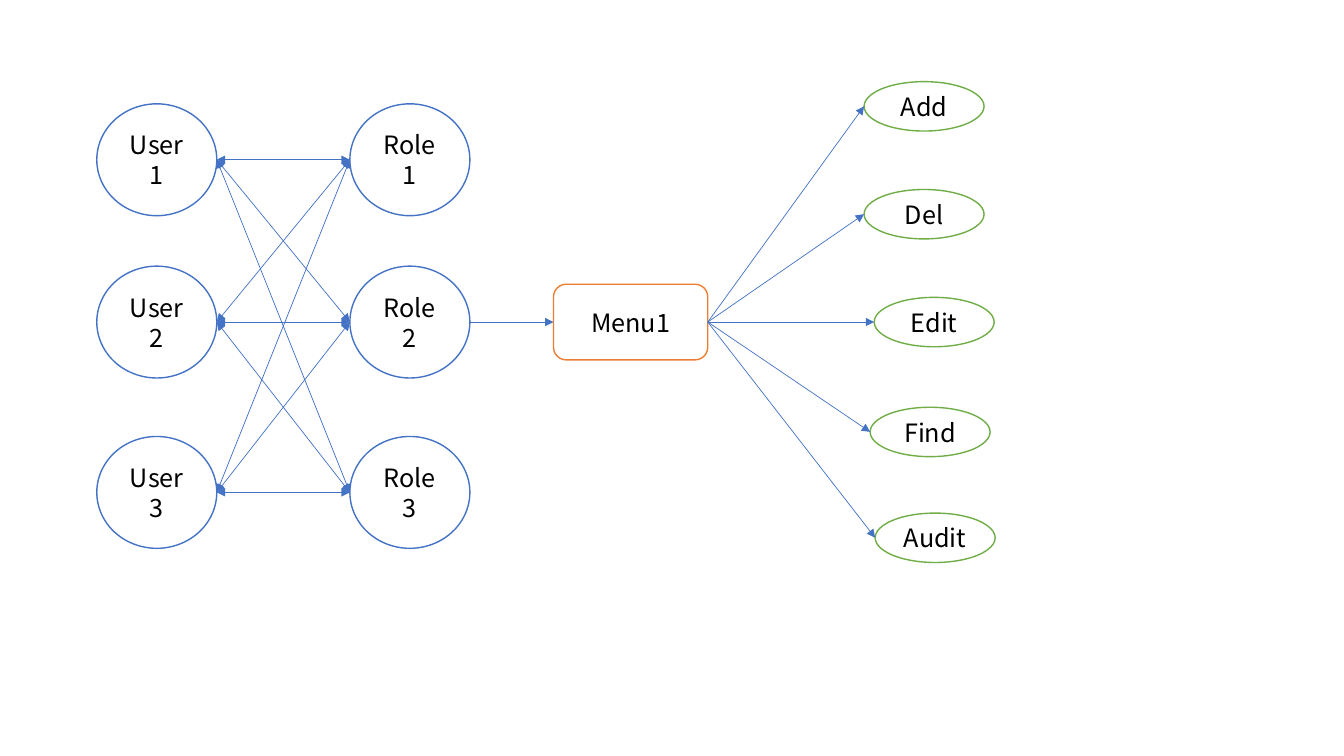
from lxml import etree
from pptx import Presentation
from pptx.dml.color import RGBColor
from pptx.enum.shapes import MSO_CONNECTOR, MSO_SHAPE
from pptx.enum.text import MSO_ANCHOR, PP_ALIGN
from pptx.oxml.ns import qn
from pptx.util import Inches, Pt

OVAL = MSO_SHAPE.OVAL
ROUNDED = MSO_SHAPE.ROUNDED_RECTANGLE
STRAIGHT = MSO_CONNECTOR.STRAIGHT
MIDDLE = MSO_ANCHOR.MIDDLE
CENTER = PP_ALIGN.CENTER

WHITE = RGBColor(0xFF, 0xFF, 0xFF)
BLACK = RGBColor(0x00, 0x00, 0x00)
BLUE = RGBColor(0x44, 0x72, 0xC4)
ORANGE = RGBColor(0xED, 0x7D, 0x31)
GREEN = RGBColor(0x70, 0xAD, 0x47)

LABEL_FONT = {"name": "Noto Sans CJK SC", "size": Pt(18)}
ROW_TOPS = (0, 1.61, 3.3)
NODE_WIDTH, NODE_HEIGHT = 1.19, 1.11
ACTION_HEIGHT = 0.49
ACTIONS = (
    ("Add", 0, 0),
    ("Del", 0, 1.07),
    ("Edit", 0.1, 2.14),
    ("Find", 0.06, 3.23),
    ("Audit", 0.11, 4.28),
)


def add_node(slide, geometry, label, box, outline):
    node = slide.shapes.add_shape(geometry, *map(Inches, box))
    node.shadow.inherit = False
    node.fill.solid()
    node.fill.fore_color.rgb = WHITE
    node.line.color.rgb = outline
    node.line.width = Pt(1)
    frame = node.text_frame
    frame.word_wrap = True
    frame.vertical_anchor = MIDDLE
    paragraph = frame.paragraphs[0]
    paragraph.alignment = CENTER
    run = paragraph.add_run()
    run.text = label
    for attribute, value in LABEL_FONT.items():
        setattr(run.font, attribute, value)
    run.font.color.rgb = BLACK
    return node


def add_arrow(slide, source, target, ends=("tailEnd",)):
    arrow = slide.shapes.add_connector(
        STRAIGHT,
        source.left + source.width,
        source.top + source.height // 2,
        target.left,
        target.top + target.height // 2,
    )
    arrow.line.color.rgb = BLUE
    arrow.line.width = Pt(0.5)
    outline = arrow.line._get_or_add_ln()
    for end in ends:
        etree.SubElement(outline, qn(f"a:{end}"), type="triangle")
    etree.SubElement(arrow._element.spPr, qn("a:effectLst"))


def add_column(slide, left, top, title):
    return [
        add_node(slide, OVAL, f"{title}{number}",
                 (left, top + offset, NODE_WIDTH, NODE_HEIGHT), BLUE)
        for number, offset in enumerate(ROW_TOPS, 1)
    ]


def add_assignments(slide, left, top, width):
    users = add_column(slide, left, top, "User")
    roles = add_column(slide, left + width - NODE_WIDTH, top, "Role")
    for user in users:
        for role in roles:
            add_arrow(slide, user, role, ("headEnd", "tailEnd"))
    return roles


def add_menu(slide, box, role):
    menu = add_node(slide, ROUNDED, "Menu1", box, ORANGE)
    add_arrow(slide, role, menu)
    return menu


def add_actions(slide, left, top, menu):
    actions = [
        add_node(slide, OVAL, label,
                 (left + shift, top + drop, NODE_WIDTH, ACTION_HEIGHT), GREEN)
        for label, shift, drop in ACTIONS
    ]
    for action in actions:
        add_arrow(slide, menu, action)


def main():
    deck = Presentation()
    deck.slide_width = Inches(13.33)
    deck.slide_height = Inches(7.5)
    slide = deck.slides.add_slide(deck.slide_layouts[6])
    roles = add_assignments(slide, 0.96, 1.03, 3.7)
    menu = add_menu(slide, (5.49, 2.82, 1.53, 0.75), roles[1])
    add_actions(slide, 8.57, 0.81, menu)
    deck.save("out.pptx")


main()
